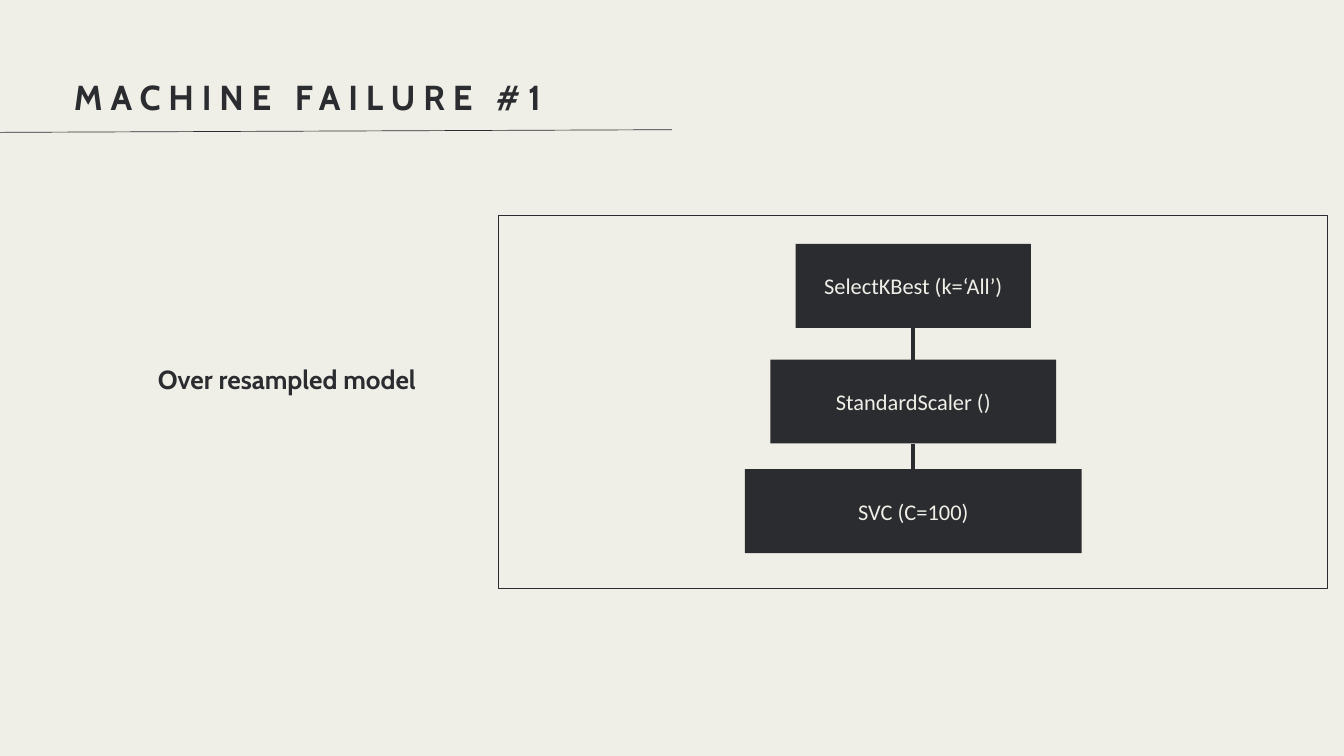
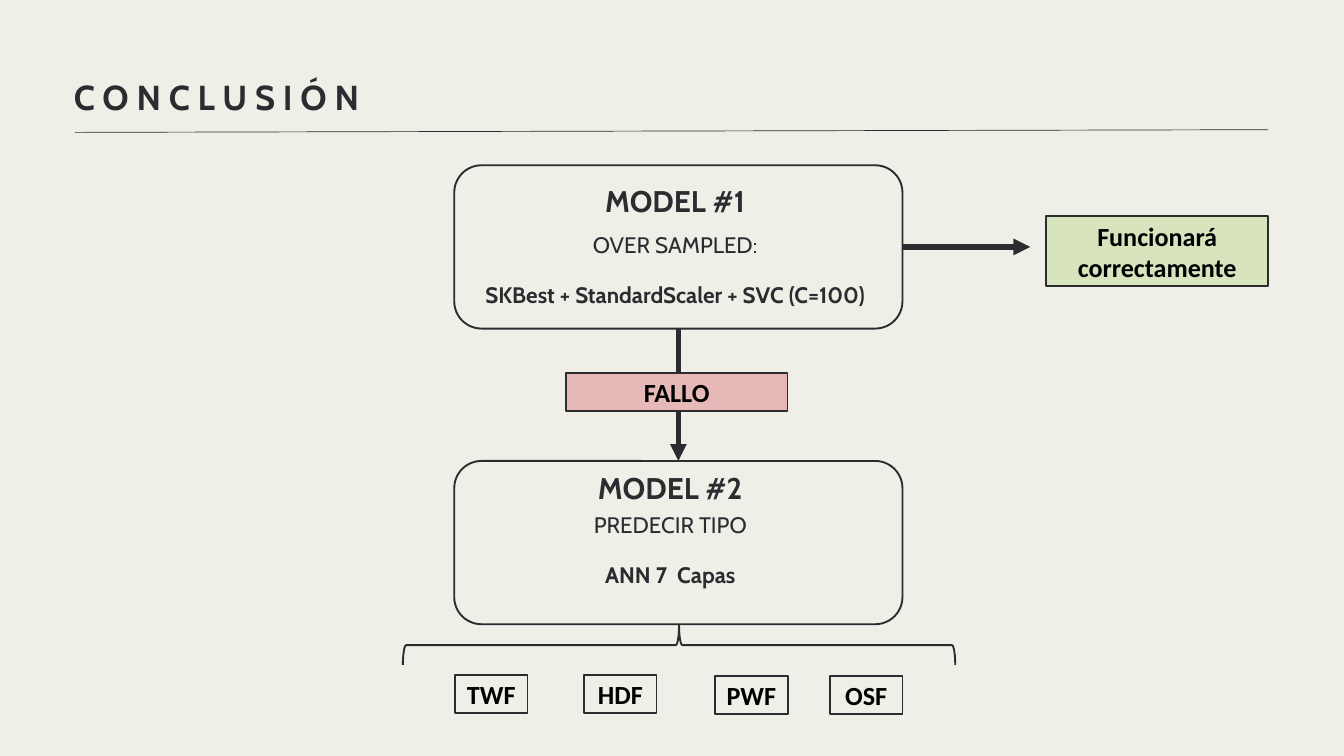
"""Build the machine failure model slide and the conclusion slide."""
from dataclasses import dataclass
from typing import NamedTuple, Optional

from lxml import etree
from pptx import Presentation
from pptx.dml.color import RGBColor
from pptx.enum.shapes import MSO_CONNECTOR, MSO_SHAPE
from pptx.enum.text import MSO_ANCHOR, MSO_AUTO_SIZE, PP_ALIGN
from pptx.oxml.ns import qn
from pptx.util import Emu, Inches, Pt

RECTANGLE = MSO_SHAPE.RECTANGLE
ROUNDED = MSO_SHAPE.ROUNDED_RECTANGLE
BRACE = MSO_SHAPE.RIGHT_BRACE
STRAIGHT = MSO_CONNECTOR.STRAIGHT
LEFT, CENTER = PP_ALIGN.LEFT, PP_ALIGN.CENTER
TOP, MIDDLE = MSO_ANCHOR.TOP, MSO_ANCHOR.MIDDLE
NO_AUTO_SIZE = MSO_AUTO_SIZE.NONE

COLUMNS, ROWS = 80, 45
SLIDE_WIDTH, SLIDE_HEIGHT = Inches(20), Inches(11.25)
TITLE_ONLY = 5


class TextStyle(NamedTuple):
    """Type settings for one kind of text."""

    font: str
    size: float
    color: str
    bold: bool = False
    align: PP_ALIGN = CENTER
    leading: Optional[float] = None
    tracking: Optional[int] = None


@dataclass(frozen=True)
class Theme:
    """Colours, line weights and type styles shared by the slides."""

    paper: str = "EFEEE7"
    ink: str = "2B2C30"
    success: str = "D7E4BD"
    failure: str = "E6B9B8"
    hairline: float = 0.75
    outline: float = 2
    link: float = 4.5
    arrow: float = 6
    title: TextStyle = TextStyle("Cabin", 37.1, "2B2C30", True, LEFT, 52, 840)
    caption: TextStyle = TextStyle("Cabin", 28, "2B2C30", True, LEFT, 39.2)
    heading: TextStyle = TextStyle("Cabin", 32, "2B2C30", True, CENTER, 39.2)
    detail: TextStyle = TextStyle("Cabin", 24, "2B2C30", False, CENTER, 26.6)
    stage: TextStyle = TextStyle("Calibri", 24, "EFEEE7")
    label: TextStyle = TextStyle("Calibri", 28, "000000", True)


THEME = Theme()


class Box(NamedTuple):
    """A rectangle in grid columns and rows."""

    column: float
    row: float
    width: float
    height: float


class Point(NamedTuple):
    """A position in grid columns and rows."""

    column: float
    row: float


class Stage(NamedTuple):
    """One step of the pipeline."""

    text: str
    row: float
    width: float


class ModelCard(NamedTuple):
    """A rounded card that describes a model."""

    heading: str
    purpose: str
    method: str
    row: float
    heading_box: Box
    detail_box: Box


class Label(NamedTuple):
    """An outlined box with a short bold text."""

    text: str
    box: Box
    fill: Optional[str] = None


TITLE_BOX = Box(4.4, 4.12, 71, 2.68)
RULE_START_ROW, RULE_END_ROW = 7.88, 7.72

FRAME = Box(29.68, 12.84, 49.32, 22.16)
CAPTION_BOX = Box(9.4, 21.32, 20.32, 2)
STAGE_CENTER, STAGE_HEIGHT = 54.36, 5
STAGES = (
    Stage("SelectKBest (k=‘All’)", 14.52, 14),
    Stage("StandardScaler ()", 21.4, 17),
    Stage("SVC (C=100)", 27.92, 20.04),
)

CARD_COLUMN, CARD_WIDTH, CARD_HEIGHT = 27.04, 26.68, 9.72
CARD_CENTER = CARD_COLUMN + CARD_WIDTH / 2
CARDS = (
    ModelCard("MODEL #1", "OVER SAMPLED:", "SKBest + StandardScaler + SVC (C=100)",
              9.84, Box(27.68, 10.84, 25, 2.04), Box(27.68, 13.88, 25, 6.04)),
    ModelCard("MODEL #2", "PREDECIR TIPO", "ANN 7  Capas",
              27.44, Box(28.64, 27.92, 22.52, 2.08), Box(28.64, 30.56, 22.52, 4.56)),
)
OUTCOMES = (
    Label("Funcionará correctamente", Box(62.28, 12.88, 13.2, 4.16), THEME.success),
    Label("FALLO", Box(33.68, 22.2, 13.2, 2.28), THEME.failure),
)
FAILURE_TYPES = (
    Label("TWF", Box(27.08, 40.16, 4.32, 2.28)),
    Label("HDF", Box(34.76, 40.16, 4.32, 2.28)),
    Label("PWF", Box(42.56, 40.24, 4.32, 2.28)),
    Label("OSF", Box(49.4, 40.24, 4.32, 2.28)),
)
BRACE_BOX = Box(39.24, 21.96, 2.36, 32.88)


def across(columns: float) -> Emu:
    """Convert grid columns to a length."""
    return Emu(round(SLIDE_WIDTH * columns / COLUMNS))


def down(rows: float) -> Emu:
    """Convert grid rows to a length."""
    return Emu(round(SLIDE_HEIGHT * rows / ROWS))


def place(box: Box) -> tuple[Emu, Emu, Emu, Emu]:
    """Return the left, top, width and height of a grid box."""
    return across(box.column), down(box.row), across(box.width), down(box.height)


def format_paragraph(paragraph, style: TextStyle) -> None:
    """Apply a type style to a paragraph and its runs."""
    paragraph.alignment = style.align
    if style.leading:
        paragraph.line_spacing = Pt(style.leading)
    for run in paragraph.runs:
        run.font.name = style.font
        run.font.size = Pt(style.size)
        run.font.bold = style.bold
        run.font.color.rgb = RGBColor.from_string(style.color)
        if style.tracking:
            run.font._element.set("spc", str(style.tracking))


def fill_text(shape, text: str, style: TextStyle, anchor: MSO_ANCHOR, flush: bool) -> None:
    """Write styled text in a shape, without insets when flush."""
    text_frame = shape.text_frame
    text_frame.text = text
    text_frame.word_wrap = True
    text_frame.auto_size = NO_AUTO_SIZE
    text_frame.vertical_anchor = anchor
    if flush:
        text_frame.margin_left = text_frame.margin_right = 0
        text_frame.margin_top = text_frame.margin_bottom = 0
    for paragraph in text_frame.paragraphs:
        format_paragraph(paragraph, style)


def add_text(slide, box: Box, text: str, style: TextStyle):
    """Add a text box without insets."""
    shape = slide.shapes.add_textbox(*place(box))
    fill_text(shape, text, style, TOP, True)
    return shape


def add_box(slide, kind: MSO_SHAPE, box: Box, fill: Optional[str] = None,
            line_width: Optional[float] = None):
    """Add a flat preset shape with an optional fill and outline."""
    shape = slide.shapes.add_shape(kind, *place(box))
    shape.shadow.inherit = False
    if fill:
        shape.fill.solid()
        shape.fill.fore_color.rgb = RGBColor.from_string(fill)
    else:
        shape.fill.background()
    if line_width:
        shape.line.color.rgb = RGBColor.from_string(THEME.ink)
        shape.line.width = Pt(line_width)
    else:
        shape.line.fill.background()
    return shape


def add_line(slide, start: Point, end: Point, width: float, arrow: bool = False) -> None:
    """Add a straight connector, with an arrowhead at its end if asked."""
    connector = slide.shapes.add_connector(
        STRAIGHT, across(start.column), down(start.row), across(end.column), down(end.row))
    connector.line.color.rgb = RGBColor.from_string(THEME.ink)
    connector.line.width = Pt(width)
    properties = connector._element.spPr
    if arrow:
        etree.SubElement(properties.find(qn("a:ln")), qn("a:tailEnd"), type="triangle")
    etree.SubElement(properties, qn("a:effectLst"))


def add_label(slide, label: Label) -> None:
    """Add an outlined label."""
    shape = add_box(slide, RECTANGLE, label.box, label.fill, THEME.outline)
    fill_text(shape, label.text, THEME.label, MIDDLE, False)


def add_card(slide, card: ModelCard) -> None:
    """Add a model card with its heading and details."""
    add_text(slide, card.heading_box, card.heading, THEME.heading)
    details = add_text(slide, card.detail_box, f"{card.purpose}\n{card.method}", THEME.detail)
    method = details.text_frame.paragraphs[1]
    method.space_before = Pt(THEME.detail.leading)
    method.runs[0].font.bold = True
    box = Box(CARD_COLUMN, card.row, CARD_WIDTH, CARD_HEIGHT)
    add_box(slide, ROUNDED, box, line_width=THEME.outline)


def add_titled_slide(presentation, title: str, rule_start: float, rule_end: float):
    """Add a slide with a title and the rule below it."""
    slide = presentation.slides.add_slide(presentation.slide_layouts[TITLE_ONLY])
    shape = slide.shapes.title
    shape.left, shape.top, shape.width, shape.height = place(TITLE_BOX)
    fill_text(shape, title, THEME.title, TOP, True)
    add_line(slide, Point(rule_start, RULE_START_ROW), Point(rule_end, RULE_END_ROW),
             THEME.hairline)
    return slide


def build_pipeline_slide(presentation) -> None:
    """Build the slide with the stages of the first model."""
    slide = add_titled_slide(presentation, "MACHINE FAILURE #1", 0, COLUMNS / 2)
    add_box(slide, RECTANGLE, FRAME, line_width=THEME.hairline)
    add_text(slide, CAPTION_BOX, "Over resampled model", THEME.caption)
    for stage in STAGES:
        box = Box(STAGE_CENTER - stage.width / 2, stage.row, stage.width, STAGE_HEIGHT)
        shape = add_box(slide, RECTANGLE, box, THEME.ink)
        fill_text(shape, stage.text, THEME.stage, MIDDLE, False)
    for upper, lower in zip(STAGES, STAGES[1:]):
        add_line(slide, Point(STAGE_CENTER, upper.row + STAGE_HEIGHT),
                 Point(STAGE_CENTER, lower.row), THEME.link)


def build_conclusion_slide(presentation) -> None:
    """Build the slide that links both models and the failure types."""
    slide = add_titled_slide(presentation, "CONCLUSIÓN", 4.48, 75.48)
    for card in CARDS:
        add_card(slide, card)
    for label in FAILURE_TYPES:
        add_label(slide, label)
    first, second = CARDS
    add_line(slide, Point(CARD_CENTER, first.row + CARD_HEIGHT),
             Point(CARD_CENTER, second.row), THEME.arrow, True)
    success_row = first.row + CARD_HEIGHT / 2
    add_line(slide, Point(CARD_COLUMN + CARD_WIDTH, success_row),
             Point(61.32, success_row), THEME.arrow, True)
    for label in OUTCOMES:
        add_label(slide, label)
    brace = add_box(slide, BRACE, BRACE_BOX, line_width=THEME.outline)
    brace.rotation = 270


def main() -> None:
    """Build and save the presentation."""
    presentation = Presentation()
    presentation.slide_width, presentation.slide_height = SLIDE_WIDTH, SLIDE_HEIGHT
    background = presentation.slide_master.background.fill
    background.solid()
    background.fore_color.rgb = RGBColor.from_string(THEME.paper)
    build_pipeline_slide(presentation)
    build_conclusion_slide(presentation)
    presentation.save("out.pptx")


if __name__ == "__main__":
    main()
